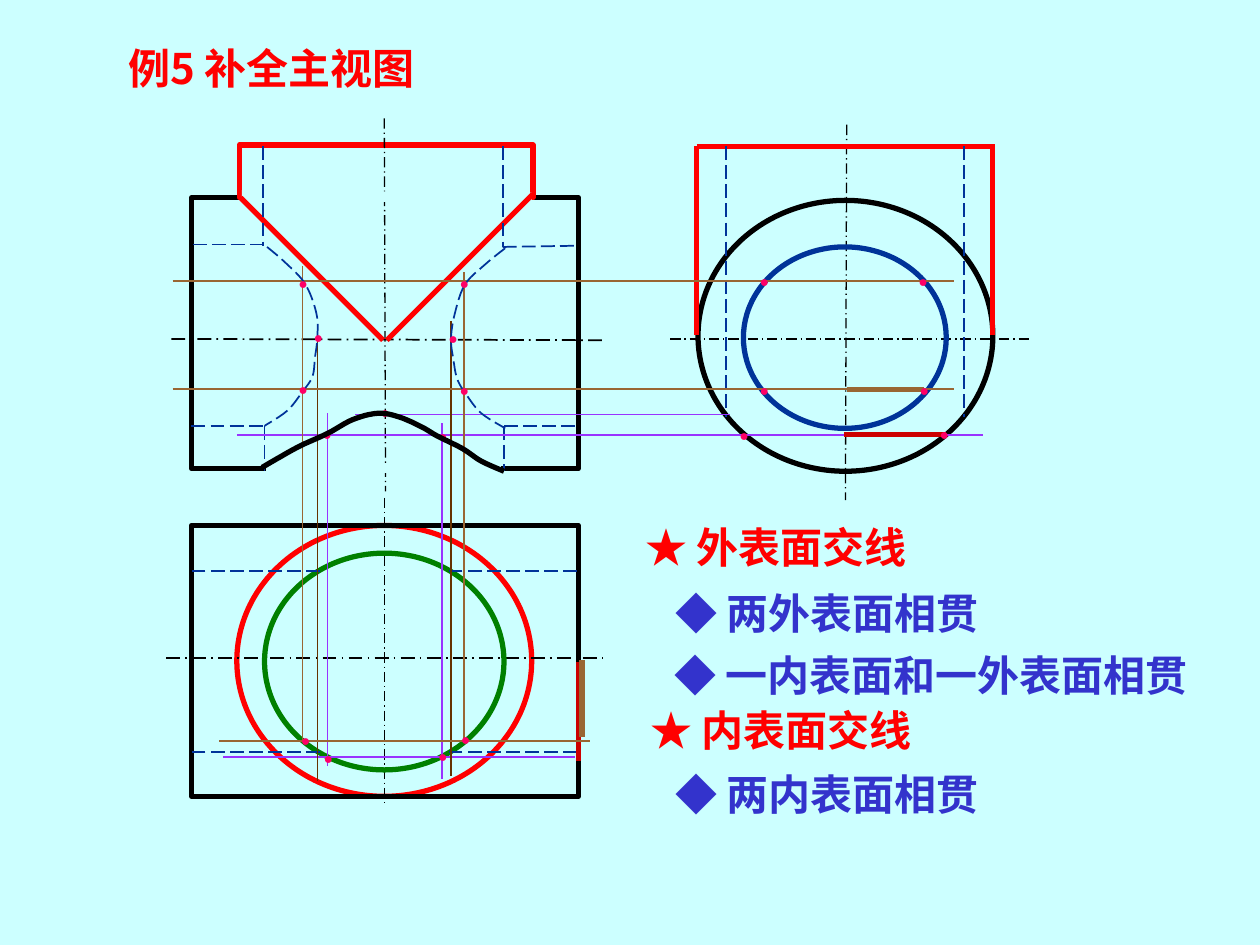
import pptx
import pptx.dml.color
import pptx.enum.dml
import pptx.enum.shapes
import pptx.enum.text
import pptx.oxml.ns
import pptx.util
from lxml import etree

Inches = pptx.util.Inches
Pt = pptx.util.Pt
Align = pptx.enum.text.PP_ALIGN
Anchor = pptx.enum.text.MSO_ANCHOR
Shape = pptx.enum.shapes.MSO_SHAPE
Dash = pptx.enum.dml.MSO_LINE
qn = pptx.oxml.ns.qn

COLORS = {
    "paper": "CCFFFF", "black": "000000", "red": "FF0000", "green": "008000",
    "blue": "003399", "violet": "9933FF", "tan": "996633", "brown": "663300",
    "crimson": "CC0000", "pink": "FF0066", "indigo": "3333CC",
}
CJK = "Noto Sans CJK SC"
ROMAN = "Times New Roman"
VIEW_LEFT, VIEW_WIDTH, VIEW_HEIGHT = 1.52, 3.07, 2.15
VIEW_RIGHT = VIEW_LEFT + VIEW_WIDTH
FRONT_TOP, PLAN_TOP = 1.57, 4.17

# Line runs: color, width, dash, then (x1, y1, x2, y2) segments.
CENTER_LINES = [
    ("black", 0.75, Dash.LONG_DASH_DOT, [
        (3.05, 3.95, 3.05, 6.39), (3.05, 0.94, 3.06, 3.9),
        (5.32, 2.69, 8.17, 2.69), (6.72, 0.99, 6.71, 3.97)]),
    ("black", 1, Dash.LONG_DASH_DOT, [
        (1.32, 5.22, 4.78, 5.22), (1.36, 2.69, 4.78, 2.7)]),
]
SOLID_EDGES = [
    ("red", 3, None, [
        (5.53, 2.66, 5.53, 1.16), (7.88, 2.66, 7.88, 1.16), (5.53, 1.16, 7.9, 1.16)]),
    ("paper", 6, None, [(1.92, 1.55, 4.22, 1.57)]),
    ("red", 3, None, [(1.91, 1.57, 3.04, 2.7), (4.23, 1.54, 3.07, 2.7)]),
]
HIDDEN_EDGES = [
    ("blue", 1, Dash.LONG_DASH, [
        (2.09, 1.16, 2.09, 1.95), (3.99, 1.16, 3.99, 1.96),
        (1.53, 1.94, 2.11, 1.94), (3.99, 1.96, 4.59, 1.95),
        (2.1, 3.38, 2.1, 3.74), (4, 3.38, 4, 3.74),
        (1.52, 3.38, 2.1, 3.38), (4, 3.38, 4.59, 3.38),
        (5.76, 1.16, 5.76, 3.31), (7.65, 1.16, 7.65, 3.31),
        (4.58, 4.53, 3.56, 4.53), (4.58, 5.97, 3.56, 5.97),
        (2.54, 4.53, 1.52, 4.53), (2.54, 5.97, 1.52, 5.97)]),
]
PROJECTORS = [
    ("violet", 1, None, [(5.79, 3.29, 2.82, 3.29), (1.88, 3.45, 7.8, 3.45)]),
    ("crimson", 3, None, [(6.7, 3.45, 7.51, 3.45), (4.59, 6.04, 4.59, 5.25)]),
    ("violet", 1, None, [(4.56, 6.01, 1.77, 6.01)]),
    ("paper", 4.5, None, [(2.11, 3.72, 3.98, 3.72)]),
    ("violet", 1, None, [(2.6, 6.08, 2.6, 3.28), (3.51, 6.18, 3.51, 3.36)]),
    ("brown", 1, None, [(2.52, 6.2, 2.52, 2.59), (3.58, 6.16, 3.58, 2.55)]),
    ("tan", 1, None, [(1.37, 3.09, 7.57, 3.09)]),
    ("tan", 3, None, [(6.72, 3.09, 7.33, 3.09), (4.62, 5.85, 4.62, 5.24)]),
    ("tan", 1, None, [
        (4.68, 5.88, 1.74, 5.88), (1.37, 2.23, 7.57, 2.23),
        (2.4, 5.88, 2.4, 2.11), (3.68, 5.88, 3.68, 2.16)]),
]
# Left and top of the small box that holds each construction point.
POINTS = [
    (2.47, 5.89), (3.38, 5.88), (5.77, 3.33), (7.36, 3.32), (3.38, 3.34),
    (2.46, 3.32), (2.92, 3.15), (2.39, 2.55), (3.46, 2.56), (5.93, 2.97),
    (7.2, 2.97), (5.93, 2.11), (7.19, 2.11), (2.29, 5.75), (3.56, 5.74),
    (3.55, 2.97), (2.27, 2.96), (2.27, 2.12), (3.55, 2.12),
]
INNER_LEFT = [(2.12, 1.96), (2.26, 2.08), (2.42, 2.25), (2.51, 2.48), (2.52, 2.67),
              (2.5, 2.84), (2.48, 2.99), (2.4, 3.11), (2.28, 3.26), (2.1, 3.38)]
INNER_RIGHT = [(4.01, 1.97), (3.85, 2.1), (3.69, 2.26), (3.61, 2.49), (3.58, 2.69),
               (3.6, 2.86), (3.63, 3.01), (3.7, 3.13), (3.82, 3.28), (4.01, 3.4)]
LOWER_CURVE = [(2.08, 3.71), (2.2, 3.64), (2.38, 3.54), (2.6, 3.44), (2.8, 3.33),
               (3, 3.28), (3.17, 3.31), (3.35, 3.39), (3.47, 3.46), (3.67, 3.56),
               (3.82, 3.66), (4, 3.74)]
# Text, color, indent in inches, space before in points.
NOTES = [
    ("★ 外表面交线", "red", 0, 0),
    ("◆ 两外表面相贯", "indigo", 0.24, 6.4),
    ("◆ 一内表面和一外表面相贯", "indigo", 0.23, 4.3),
    ("★ 内表面交线", "red", 0.04, 0.7),
    ("◆ 两内表面相贯", "indigo", 0.24, 5.7),
]


def rgb(name):
    return pptx.dml.color.RGBColor.from_string(COLORS[name])


def style_line(line, color, width, dash=None):
    line.color.rgb = rgb(color)
    line.width = Pt(width)
    if dash:
        line.dash_style = dash


def draw_lines(slide, runs):
    for color, width, dash, segments in runs:
        for segment in segments:
            edge = slide.shapes.add_connector(
                pptx.enum.shapes.MSO_CONNECTOR.STRAIGHT, *map(Inches, segment))
            style_line(edge.line, color, width, dash)
            etree.SubElement(edge._element.spPr, qn("a:effectLst"))


def draw_outline(slide, kind, color, *box):
    outline = slide.shapes.add_shape(kind, *map(Inches, box))
    outline.shadow.inherit = False
    outline.fill.background()
    style_line(outline.line, color, 3)


def smooth(knots, steps=6):
    """Return Catmull-Rom points that pass through all knots."""
    padded = [knots[0], *knots, knots[-1]]
    points = [knots[0]]
    for a, b, c, d in zip(padded, padded[1:], padded[2:], padded[3:]):
        for step in range(1, steps + 1):
            t = step / steps
            points.append(tuple(
                (2 * q + (r - p) * t + (2 * p - 5 * q + 4 * r - s) * t ** 2
                 + (3 * q - p - 3 * r + s) * t ** 3) / 2
                for p, q, r, s in zip(a, b, c, d)))
    return points


def draw_curve(slide, knots, color, width, dash=None):
    start, *rest = [(Inches(x), Inches(y)) for x, y in smooth(knots)]
    builder = slide.shapes.build_freeform(*start, scale=1.0)
    builder.add_line_segments(rest, close=False)
    curve = builder.convert_to_shape()
    curve.shadow.inherit = False
    curve.fill.background()
    style_line(curve.line, color, width, dash)


def write(paragraph, text, *, color, size=24, bold=True, font=ROMAN, east_asian=CJK,
          align=Align.LEFT, indent=0, before=0, spacing=None):
    props = paragraph._p.get_or_add_pPr()
    props.set("marL", str(Inches(indent)))
    props.set("indent", "0")
    etree.SubElement(props, qn("a:buNone"))
    paragraph.alignment = align
    paragraph.space_before = Pt(before)
    if spacing:
        paragraph.line_spacing = Pt(spacing)
    run = paragraph.add_run()
    run.text = text
    run.font.size = Pt(size)
    run.font.bold = bold
    run.font.name = font
    run.font.color.rgb = rgb(color)
    etree.SubElement(run._r.get_or_add_rPr(), qn("a:ea")).set("typeface", east_asian)


def place(shape, left, top, width, height):
    shape.left, shape.top = Inches(left), Inches(top)
    shape.width, shape.height = Inches(width), Inches(height)
    shape.text_frame.auto_size = pptx.enum.text.MSO_AUTO_SIZE.NONE


def mark_point(slide, left, top):
    frame = slide.shapes.add_textbox(
        Inches(left), Inches(top), Inches(0.27), Inches(0.25)).text_frame
    frame.word_wrap = False
    frame.vertical_anchor = Anchor.MIDDLE
    write(frame.paragraphs[0], "●", color="pink", size=9, bold=False,
          east_asian=ROMAN, align=Align.CENTER)


def add_notes(body):
    place(body, 5.12, 4.11, 4.78, 2.4)
    frame = body.text_frame
    frame.margin_left = frame.margin_right = frame.margin_top = frame.margin_bottom = 0
    frame.vertical_anchor = Anchor.TOP
    for number, (text, color, indent, before) in enumerate(NOTES):
        paragraph = frame.add_paragraph() if number else frame.paragraphs[0]
        write(paragraph, text, color=color, indent=indent, before=before, spacing=31)


def main():
    deck = pptx.Presentation()
    deck.slide_width, deck.slide_height = Inches(10), Inches(7.5)
    slide = deck.slides.add_slide(deck.slide_layouts[1])
    slide.background.fill.solid()
    slide.background.fill.fore_color.rgb = rgb("paper")

    title, notes = slide.placeholders
    place(title, 0.92, 0.29, 3.02, 0.5)
    title.text_frame.vertical_anchor = Anchor.MIDDLE
    write(title.text_frame.paragraphs[0], "例5 补全主视图", color="red", font=CJK)
    add_notes(notes)

    draw_outline(slide, Shape.OVAL, "red", 1.88, PLAN_TOP, 2.34, VIEW_HEIGHT)
    draw_outline(slide, Shape.OVAL, "black", 5.54, 1.59, 2.34, VIEW_HEIGHT)
    for top in (PLAN_TOP, FRONT_TOP):
        draw_outline(slide, Shape.RECTANGLE, "black", VIEW_LEFT, top, VIEW_WIDTH, VIEW_HEIGHT)
    draw_outline(slide, Shape.RECTANGLE, "red", 1.9, 1.15, 2.33, 0.42)
    draw_lines(slide, CENTER_LINES)
    draw_outline(slide, Shape.OVAL, "green", 2.1, 4.39, 1.9, 1.72)
    draw_outline(slide, Shape.OVAL, "blue", 5.9, 1.96, 1.61, 1.44)
    draw_lines(slide, SOLID_EDGES + HIDDEN_EDGES + PROJECTORS)
    for knots in (INNER_LEFT, INNER_RIGHT):
        draw_curve(slide, knots, "blue", 1, Dash.LONG_DASH)
    for left, top in POINTS:
        mark_point(slide, left, top)
    draw_curve(slide, LOWER_CURVE, "black", 3)
    deck.save("out.pptx")


if __name__ == "__main__":
    main()
